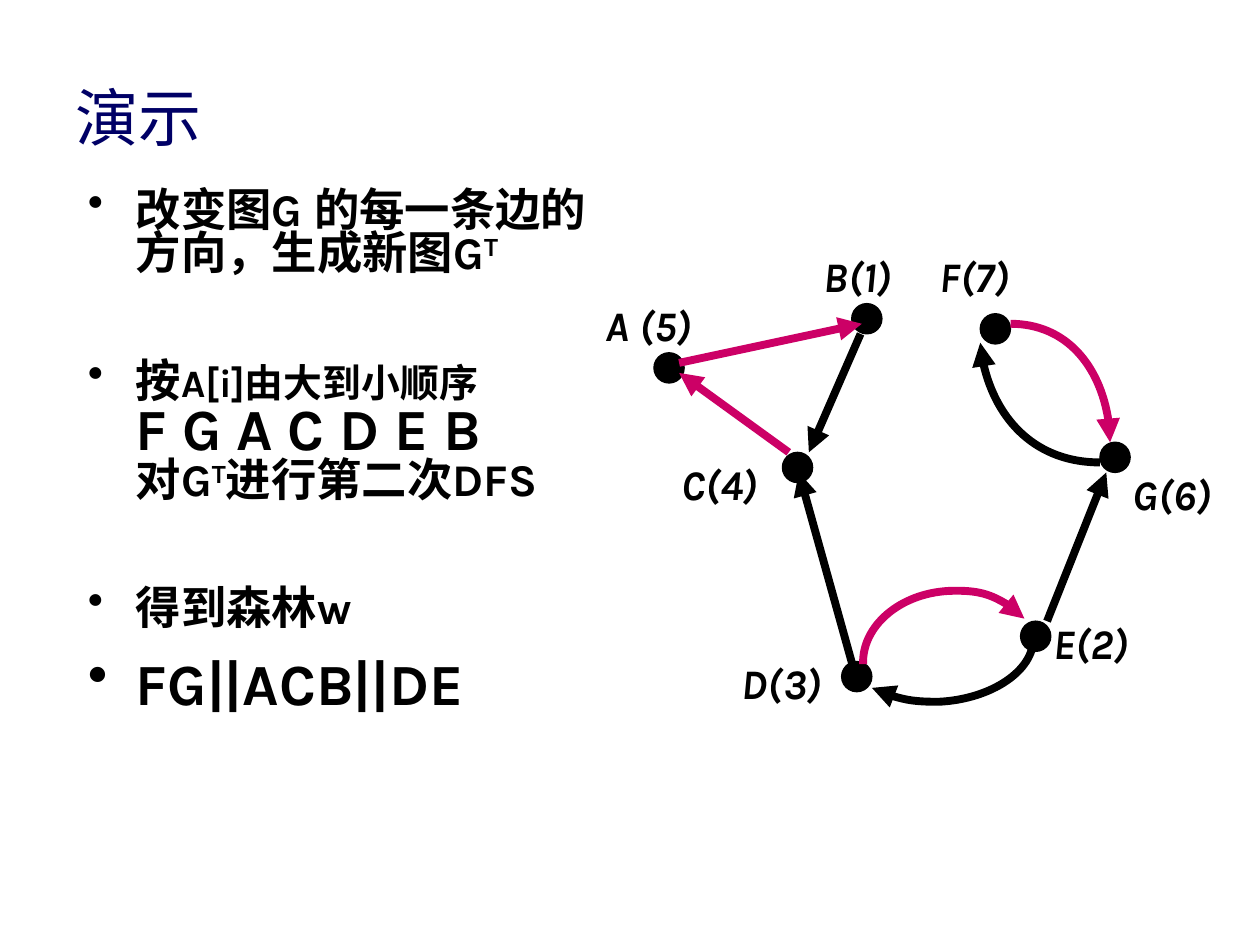
import pptx
import pptx.util
import pptx.dml.color
import pptx.enum.shapes
import pptx.enum.text
import pptx.oxml
import pptx.oxml.ns
from dataclasses import dataclass

Inches, Pt = pptx.util.Inches, pptx.util.Pt
qn = pptx.oxml.ns.qn


@dataclass(frozen=True)
class Theme:
    font: str = "Karla"
    navy: str = "000066"
    black: str = "000000"
    pink: str = "CC0066"
    title: float = 36
    body: float = 25.9
    small: float = 22.2
    large: float = 33.3
    label: float = 24
    stroke: float = 4.5
    rim: float = 0.75


THEME = Theme()
DOT = 0.24

# name: (dot left, dot top, label text, label left, label top)
NODES = {
    "A": (5.19, 2.8, "A (5)", 4.71, 2.33),
    "B": (6.76, 2.41, "B(1)", 6.44, 1.94),
    "C": (6.21, 3.59, "C(4)", 5.31, 3.59),
    "F": (7.78, 2.49, "F(7)", 7.36, 1.94),
    "G": (8.73, 3.51, "G(6)", 8.89, 3.67),
    "D": (6.68, 5.25, "D(3)", 5.79, 5.17),
    "E": (8.1, 4.93, "E(2)", 8.26, 4.85),
}

EDGES = [
    ((6.83, 2.65), (6.42, 3.59), THEME.black),
    ((5.39, 2.88), (6.84, 2.57), THEME.pink),
    ((6.8, 5.4), (6.34, 3.75), THEME.black),
    ((8.31, 4.93), (8.78, 3.75), THEME.black),
    ((6.26, 3.59), (5.39, 2.96), THEME.pink),
]

# Bezier points from tail to arrowhead: a start, then three for each piece
ARCS = [
    ([(8.73, 3.67), (8.23, 3.67), (7.82, 3.26), (7.78, 2.72)], THEME.black),
    ([(8.2, 5.06), (8.21, 5.32), (7.87, 5.55), (7.45, 5.57),
      (7.26, 5.57), (7.07, 5.54), (6.92, 5.46)], THEME.black),
    ([(6.85, 5.27), (6.84, 4.97), (7.14, 4.71), (7.53, 4.69),
      (7.77, 4.68), (8, 4.76), (8.13, 4.91)], THEME.pink),
    ([(8.02, 2.57), (8.46, 2.57), (8.81, 2.99), (8.81, 3.51)], THEME.pink),
]

# Each bullet: space before, then lines of (text, size, raised) runs
BULLETS = [
    (0, [[("改变图G 的每一条边的方向，生成新图G", THEME.body, False),
          ("T", THEME.body, True)]]),
    (48, [[("按", THEME.body, False), ("A[i]由大到小顺序", THEME.small, False)],
          [("F G A C D E B", THEME.large, False)],
          [("对G", THEME.body, False), ("T", THEME.body, True),
           ("进行第二次DFS", THEME.body, False)]]),
    (48, [[("得到森林w", THEME.body, False)]]),
    (15.8, [[("FG||ACB||DE", THEME.large, False)]]),
]


def rgb(code):
    return pptx.dml.color.RGBColor.from_string(code)


def add_box(slide, x, y, w, h):
    frame = slide.shapes.add_textbox(
        Inches(x), Inches(y), Inches(w), Inches(h)).text_frame
    frame.word_wrap = True
    return frame


def add_run(para, text, size, color=THEME.black, bold=True, slant=False):
    run = para.add_run()
    run.text = text
    font = run.font
    font.name, font.size = THEME.font, Pt(size)
    font.bold, font.italic = bold, slant
    font.color.rgb = rgb(color)
    return run


def add_mark(para):
    """Give the paragraph a black bullet with a hanging indent."""
    props = para._p.get_or_add_pPr()
    props.set("marL", str(Inches(0.38)))
    props.set("indent", str(-Inches(0.38)))
    color = pptx.oxml.ns.nsdecls("a")
    props.append(pptx.oxml.parse_xml(
        f'<a:buClr {color}><a:srgbClr val="{THEME.black}"/></a:buClr>'))
    props.append(pptx.oxml.parse_xml(f'<a:buChar {color} char="•"/>'))


def add_title(slide):
    frame = add_box(slide, 0.5, 0.3, 9, 1.25)
    frame.vertical_anchor = pptx.enum.text.MSO_ANCHOR.MIDDLE
    add_run(frame.paragraphs[0], "演示", THEME.title, THEME.navy, bold=False)


def add_steps(slide):
    frame = add_box(slide, 0.6, 1.47, 4.24, 5.45)
    for i, (gap, lines) in enumerate(BULLETS):
        para = frame.add_paragraph() if i else frame.paragraphs[0]
        add_mark(para)
        para.line_spacing = 0.8
        para.space_before = Pt(gap)
        for j, line in enumerate(lines):
            if j:
                para.add_line_break()
            for text, size, raised in line:
                run = add_run(para, text, size)
                if raised:
                    run._r.get_or_add_rPr().set("baseline", "30000")


def add_dot(slide, x, y):
    dot = slide.shapes.add_shape(
        pptx.enum.shapes.MSO_SHAPE.OVAL,
        Inches(x), Inches(y), Inches(DOT), Inches(DOT))
    dot.shadow.inherit = False
    dot.fill.solid()
    dot.fill.fore_color.rgb = rgb(THEME.black)
    dot.line.color.rgb = rgb(THEME.black)
    dot.line.width = Pt(THEME.rim)


def add_label(slide, text, x, y):
    frame = add_box(slide, x, y, 1.11, 0.74)
    add_run(frame.paragraphs[0], text, THEME.label, slant=True)


def style_arrow(shape, color):
    shape.line.color.rgb = rgb(color)
    shape.line.width = Pt(THEME.stroke)
    tip = pptx.oxml.parse_xml(
        f'<a:tailEnd {pptx.oxml.ns.nsdecls("a")} type="triangle"/>')
    shape.line._get_or_add_ln().append(tip)


def add_edge(slide, start, end, color):
    edge = slide.shapes.add_connector(
        pptx.enum.shapes.MSO_CONNECTOR.STRAIGHT,
        *(Inches(v) for v in start + end))
    style_arrow(edge, color)
    edge._element.spPr.append(pptx.oxml.parse_xml(
        f'<a:effectLst {pptx.oxml.ns.nsdecls("a")}/>'))


def add_arc(slide, points, color):
    """Draw a curved arrow by turning each three line steps into one cubic."""
    spots = [(Inches(x), Inches(y)) for x, y in points]
    maker = slide.shapes.build_freeform(*spots[0])
    maker.add_line_segments(spots[1:], close=False)
    arc = maker.convert_to_shape()
    route = next(arc._element.iter(qn("a:path")))
    steps = route.findall(qn("a:lnTo"))
    for i in range(0, len(steps), 3):
        first, *rest = steps[i:i + 3]
        first.tag = qn("a:cubicBezTo")
        for step in rest:
            first.append(step[0])
            route.remove(step)
    arc.shadow.inherit = False
    arc.fill.background()
    style_arrow(arc, color)


def main():
    deck = pptx.Presentation()
    deck.slide_width, deck.slide_height = Inches(10), Inches(7.5)
    slide = deck.slides.add_slide(deck.slide_layouts[6])
    add_title(slide)
    add_steps(slide)
    for x, y, *_ in NODES.values():
        add_dot(slide, x, y)
    for edge in EDGES:
        add_edge(slide, *edge)
    for arc in ARCS:
        add_arc(slide, *arc)
    for _, _, text, x, y in NODES.values():
        add_label(slide, text, x, y)
    deck.save("out.pptx")


if __name__ == "__main__":
    main()
